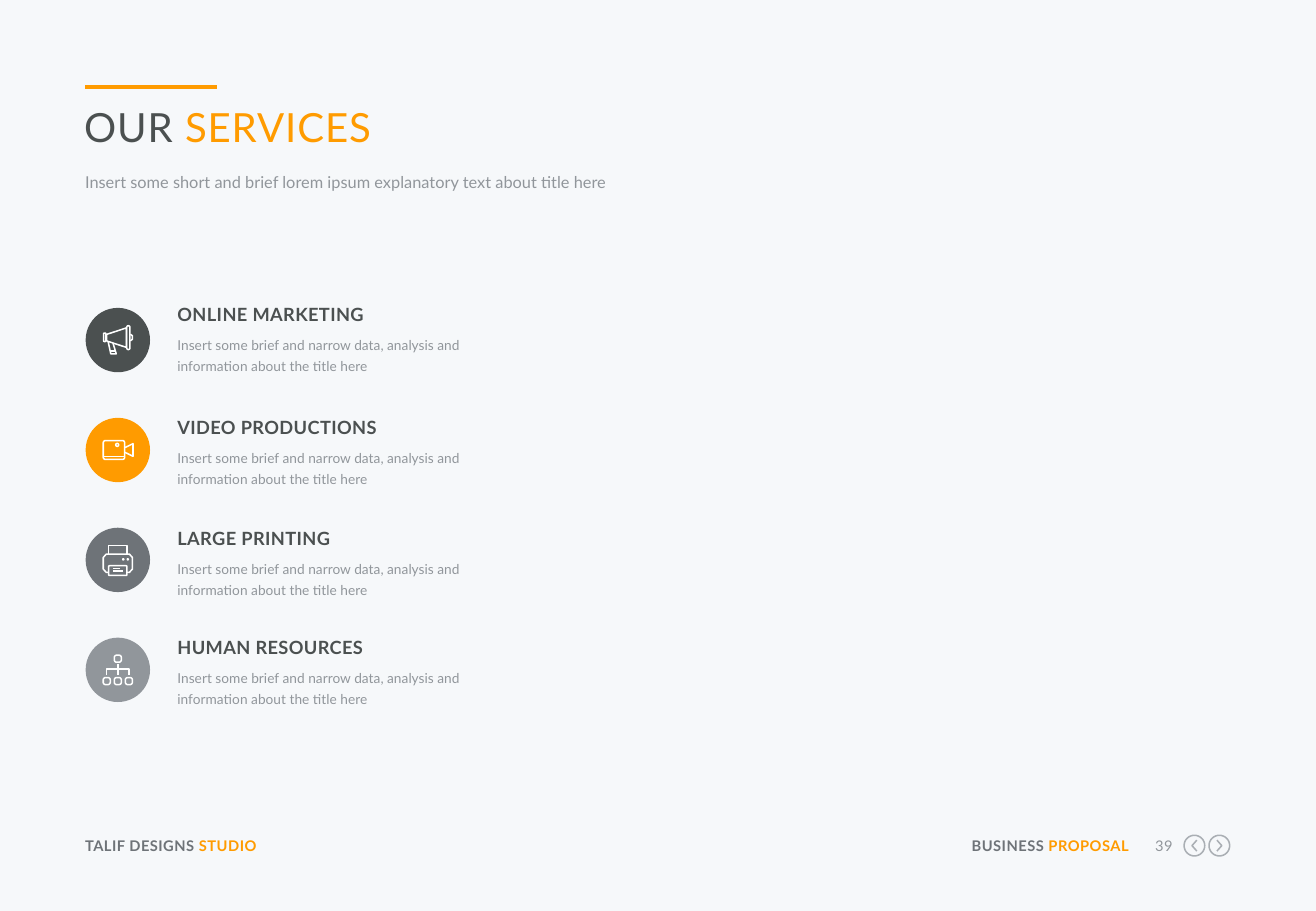
import math
from dataclasses import dataclass
from typing import Optional

from pptx import Presentation, util as u
from pptx.dml.color import RGBColor
from pptx.enum import shapes, text
from pptx.oxml.ns import qn
from lxml import etree

COLS, ROWS = 108.3, 75
prs = Presentation()
prs.slide_width, prs.slide_height = u.Inches(10.83), u.Inches(7.5)
s = prs.slides.add_slide(prs.slide_layouts[6])

DARK, ORANGE, SLATE, GREY = "4B5050", "FF9B00", "6E7378", "91969B"
WHITE, PALE, BACK = "FFFFFF", "AAAFB4", "F6F8FA"
LEFT, ITEM_X, CIRCLE_X, CIRCLE = 7, 14.6, 7.05, 5.3
FIRST_CIRCLE, PITCH, FOOT = 25.35, 9.05, 68.9
DETAIL = "Insert some brief and narrow data, analysis and information about the title here"


def col(n: float) -> int:
    return round(prs.slide_width * n / COLS)


def row(n: float) -> int:
    return round(prs.slide_height * n / ROWS)


def rgb(value: str) -> RGBColor:
    return RGBColor.from_string(value)


@dataclass
class Style:
    size: float
    color: str
    bold: bool = False
    spacing: int = 0
    leading: Optional[object] = None
    align: text.PP_ALIGN = text.PP_ALIGN.LEFT


@dataclass
class Stroke:
    points: list
    closed: bool = False


@dataclass
class Service:
    title: str
    y: float
    color: str
    icon: list


def rounded(x: float, y: float, w: float, h: float, r: float) -> Stroke:
    centres = [(x + w - r, y + h - r), (x + r, y + h - r), (x + r, y + r), (x + w - r, y + r)]
    points = []
    for quarter, (cx, cy) in enumerate(centres):
        for step in range(9):
            angle = math.radians(90 * quarter + 11.25 * step)
            points.append((cx + r * math.cos(angle), cy + r * math.sin(angle)))
    return Stroke(points, True)


def disc(x: float, y: float, r: float) -> Stroke:
    return rounded(x - r, y - r, 2 * r, 2 * r, r)


def add_line(x1: float, y1: float, x2: float, y2: float, color: str, width: float) -> None:
    sp = s.shapes.add_connector(shapes.MSO_CONNECTOR.STRAIGHT, col(x1), row(y1), col(x2), row(y2))
    sp.line.color.rgb = rgb(color)
    sp.line.width = u.Pt(width)
    etree.SubElement(sp._element.spPr, qn("a:effectLst"))


def add_text(x: float, y: float, w: float, h: float, style: Style, first: str, accent: str = "") -> None:
    tf = s.shapes.add_textbox(col(x), row(y), col(w), row(h)).text_frame
    tf.word_wrap = True
    tf.margin_left = tf.margin_right = tf.margin_top = tf.margin_bottom = 0
    p = tf.paragraphs[0]
    p.text = first
    if accent:
        p.add_run().text = accent
    p.alignment = style.align
    if style.leading:
        p.line_spacing = style.leading
    for r, color in zip(p.runs, (style.color, ORANGE)):
        r.font.name, r.font.size, r.font.bold = "Lato", u.Pt(style.size), style.bold
        r.font.color.rgb = rgb(color)
        r._r.get_or_add_rPr().set("spc", str(style.spacing))


def add_icon(cx: float, cy: float, strokes: list, color: str) -> None:
    builder = None
    for stroke in strokes:
        start, *rest = [(col(cx + x), row(cy + y)) for x, y in stroke.points]
        if builder is None:
            builder = s.shapes.build_freeform(*start)
        else:
            builder.move_to(*start)
        builder.add_line_segments(rest, close=stroke.closed)
    sp = builder.convert_to_shape()
    sp.shadow.inherit = False
    sp.fill.background()
    sp.line.color.rgb = rgb(color)
    sp.line.width = u.Pt(0.9)


MEGAPHONE = [
    rounded(-1.18, -0.58, 0.2, 0.7, 0.08), rounded(0.73, -1.18, 0.26, 1.96, 0.13),
    Stroke([(-0.92, -0.47), (0.7, -1), (0.7, 0.6), (-0.92, 0.07)], True),
    Stroke([(1.03, -0.48), (1.2, -0.35), (1.2, -0.08), (1.03, 0.07)]),
    Stroke([(-0.8, 0.12), (-0.58, 1.13), (-0.13, 1.13), (-0.4, 0.25)]),
    Stroke([(-0.63, 0.9), (-0.2, 0.9)]),
]
CAMERA = [
    rounded(-1.2, -0.78, 1.77, 1.56, 0.2), disc(-0.05, -0.42, 0.12),
    Stroke([(-1.2, 0.52), (0.57, 0.52)]),
    Stroke([(0.6, -0.2), (1.25, -0.52), (1.25, 0.52), (0.6, 0.2)]),
]
PRINTER = [
    Stroke([(-0.75, -0.5), (-0.75, -1.2), (0.75, -1.2), (0.75, -0.5)]),
    Stroke([(-0.75, 1.03), (-0.95, 1.03), (-1.2, 0.75), (-1.2, -0.2), (-0.95, -0.48),
            (0.95, -0.48), (1.2, -0.2), (1.2, 0.75), (0.95, 1.03), (0.75, 1.03)]),
    rounded(-0.75, 0.48, 1.5, 0.8, 0.07),
    Stroke([(-0.4, 0.7), (0.2, 0.7)]), Stroke([(-0.4, 0.92), (0.45, 0.92)]),
    disc(0.45, -0.05, 0.04), disc(0.82, -0.05, 0.04),
]
ORG_CHART = [
    *[rounded(x - 0.29, y - 0.29, 0.58, 0.58, 0.2)
      for x, y in ((0, -0.92), (-0.91, 0.92), (0, 0.92), (0.91, 0.92))],
    Stroke([(0, -0.45), (0, 0.45)]),
    Stroke([(-0.91, 0.45), (-0.91, -0.07), (0.91, -0.07), (0.91, 0.45)]),
]
SERVICES = [
    Service("ONLINE MARKETING", 25, DARK, MEGAPHONE),
    Service("VIDEO PRODUCTIONS", 34.3, ORANGE, CAMERA),
    Service("LARGE PRINTING", 43.43, SLATE, PRINTER),
    Service("HUMAN RESOURCES", 52.4, GREY, ORG_CHART),
]


def main() -> None:
    s.background.fill.solid()
    s.background.fill.fore_color.rgb = rgb(BACK)
    add_line(LEFT, 7.17, 17.9, 7.17, ORANGE, 2.25)
    add_text(6.93, 8.4, 94.2, 3.9, Style(23.8, DARK, spacing=56), "OUR ", "SERVICES")
    add_text(LEFT, 14, 94.2, 2.1, Style(9.7, GREY, leading=u.Pt(13)),
             "Insert some short and brief lorem ipsum explanatory text about title here")

    heading = Style(10.8, DARK, True, 24)
    detail = Style(8.1, GREY, leading=1.3)
    for i, service in enumerate(SERVICES):
        y = FIRST_CIRCLE + i * PITCH
        sp = s.shapes.add_shape(shapes.MSO_SHAPE.OVAL, col(CIRCLE_X), row(y), col(CIRCLE), row(CIRCLE))
        sp.shadow.inherit = False
        sp.fill.solid()
        sp.fill.fore_color.rgb = rgb(service.color)
        sp.line.fill.background()
        add_icon(CIRCLE_X + CIRCLE / 2, y + CIRCLE / 2, service.icon, WHITE)
        add_text(ITEM_X, service.y, 29.2, 1.8, heading, service.title)
        add_text(ITEM_X, service.y + 2.34, 29.2, 3.6, detail, DETAIL)

    right = text.PP_ALIGN.RIGHT
    add_text(LEFT, FOOT, 21.1, 1.5, Style(8.7, SLATE, True, 25), "TALIF DESIGNS ", "STUDIO")
    add_text(79.2, FOOT, 13.7, 1.5, Style(8.7, SLATE, True, 25, align=right), "BUSINESS ", "PROPOSAL")
    add_text(94, FOOT, 2.5, 1.5, Style(8.7, GREY, spacing=20, align=right), "39")
    for x, way in ((98.3, 1), (100.35, -1)):
        chevron = Stroke([(0.2 * way, -0.45), (-0.2 * way, 0), (0.2 * way, 0.45)])
        add_icon(x, 69.62, [disc(0, 0, 0.85), chevron], PALE)
    prs.save("out.pptx")


if __name__ == "__main__":
    main()
